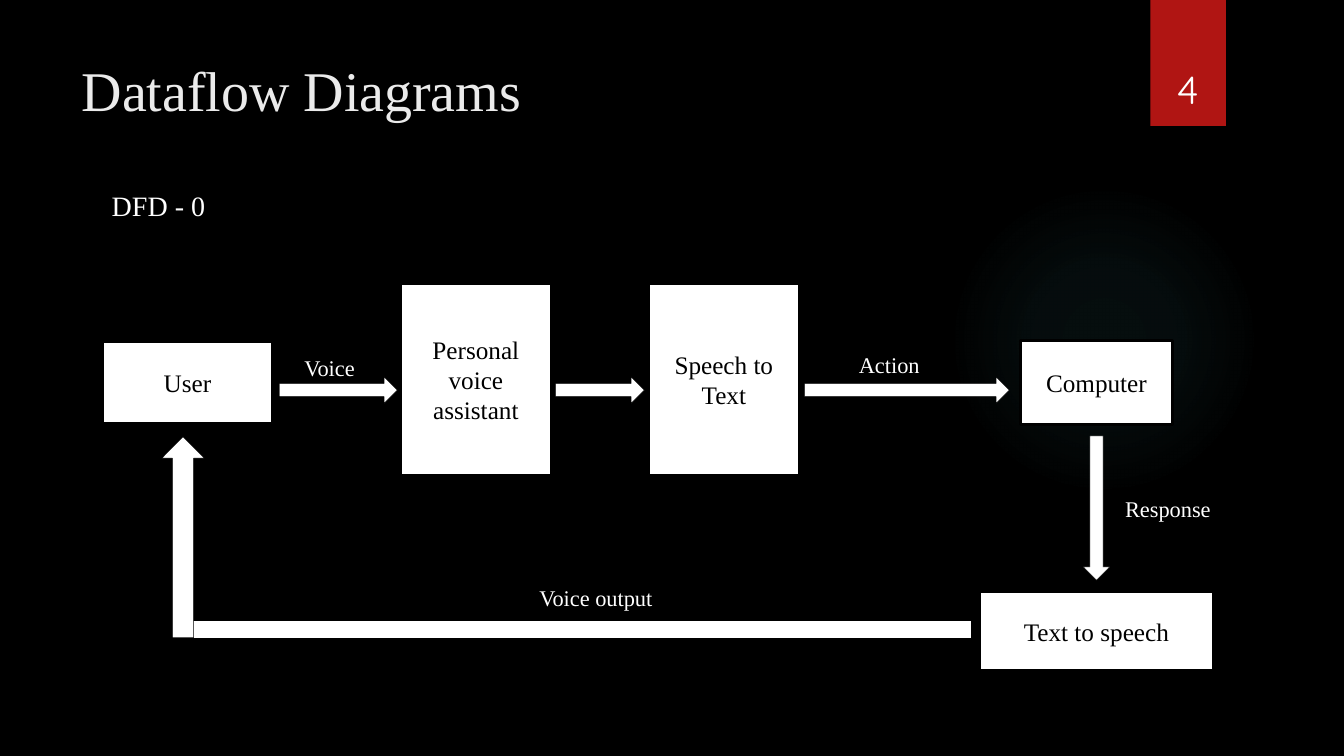
from dataclasses import dataclass

from lxml import etree
from pptx import Presentation
from pptx.dml.color import RGBColor
from pptx.enum.shapes import MSO_SHAPE
from pptx.enum.text import MSO_ANCHOR, MSO_AUTO_SIZE, PP_ALIGN
from pptx.oxml.ns import nsdecls
from pptx.util import Inches, Pt

RECTANGLE, ELLIPSE = MSO_SHAPE.RECTANGLE, MSO_SHAPE.OVAL
ARROW, MINUS = MSO_SHAPE.RIGHT_ARROW, MSO_SHAPE.MATH_MINUS
TOP, MIDDLE, BOTTOM = MSO_ANCHOR.TOP, MSO_ANCHOR.MIDDLE, MSO_ANCHOR.BOTTOM
LEFT, CENTER = PP_ALIGN.LEFT, PP_ALIGN.CENTER
TITLE_ONLY = 5


@dataclass(frozen=True)
class Theme:
    font: str = "Times New Roman"
    number_font: str = "Quicksand"
    black: str = "000000"
    white: str = "FFFFFF"
    title: str = "EBEBEB"
    red: str = "B01513"
    glow: str = "50B9C1"
    title_size: int = 40
    number_size: int = 28
    heading_size: int = 20
    box_size: int = 18
    label_size: int = 16


THEME = Theme()

TITLE = ("Dataflow Diagrams", (0.71, 0.5, 10.18, 1.09))
PAGE_NUMBER = ("4", (11.32, 0.32, 0.92, 0.84))
HEADING = ("DFD - 0", (1.01, 1.82, 2.63, 0.44))
RIBBON = (11.41, 0, 0.75, 1.25)
GLOW = (9.41, 1.83, 3.08, 3.08)
GLOW_STOPS = [(0, 7), (36, 6), (69, 0)]  # position and opacity, percent

# Text, (left, top, width, height), outline width
BOXES = [
    ("User", (1.01, 3.38, 1.7, 0.83), 3),
    ("Personal voice assistant", (3.97, 2.81, 1.5, 1.91), 2.25),
    ("Speech to Text", (6.43, 2.81, 1.5, 1.91), 2.25),
    ("Computer", (10.12, 3.38, 1.51, 0.83), 2.25),
    ("Text to speech", (9.71, 5.87, 2.33, 0.78), 2.25),
]
FLOW_TOP, FLOW_HEIGHT = 3.74, 0.26
FLOW_SPANS = [(2.77, 1.17), (5.51, 0.88), (7.98, 2.03)]  # left, width
RESPONSE_ARROW = (10.16, 4.91, 1.43, FLOW_HEIGHT)
RETURN_BAR = (0.28, 5.85, 10.78, 0.78)
RETURN_ARROW = (0.82, 5.12, 1.99, 0.42)
ARROW_OUTLINE = 0.25

LABELS = [
    ("Voice", (2.92, 3.46, 1.02, 0.37)),
    ("Action", (8.42, 3.43, 1.45, 0.37)),
    ("Response", (11.06, 4.86, 1.55, 0.37)),
    ("Voice output", (5.25, 5.75, 2.58, 0.37)),
]


def inches(area):
    return [Inches(value) for value in area]


def write_text(shape, text, size, color=THEME.white, font=THEME.font,
               align=LEFT, anchor=TOP, auto_size=MSO_AUTO_SIZE.NONE):
    frame = shape.text_frame
    frame.word_wrap = True
    frame.auto_size = auto_size
    frame.vertical_anchor = anchor
    paragraph = frame.paragraphs[0]
    paragraph.alignment = align
    run = paragraph.add_run()
    run.text = text
    run.font.name = font
    run.font.size = Pt(size)
    run.font.color.rgb = RGBColor.from_string(color)


def add_figure(slide, kind, area, fill=THEME.white, outline=None, rotation=0):
    """Add a preset shape; outline is the width in points of a black line."""
    shape = slide.shapes.add_shape(kind, *inches(area))
    shape.shadow.inherit = False
    shape.rotation = rotation
    shape.fill.solid()
    shape.fill.fore_color.rgb = RGBColor.from_string(fill)
    if outline is None:
        shape.line.fill.background()
    else:
        shape.line.color.rgb = RGBColor.from_string(THEME.black)
        shape.line.width = Pt(outline)
    return shape


def add_text_box(slide, text, area, size, **text_format):
    box = slide.shapes.add_textbox(*inches(area))
    write_text(box, text, size, **text_format)


def add_glow(slide):
    """Add a circle whose colour fades out from its centre."""
    shape = add_figure(slide, ELLIPSE, GLOW)
    stops = "".join(
        f'<a:gs pos="{position * 1000}"><a:srgbClr val="{THEME.glow}">'
        f'<a:alpha val="{opacity * 1000}"/></a:srgbClr></a:gs>'
        for position, opacity in GLOW_STOPS)
    gradient = etree.fromstring(
        f'<a:gradFill {nsdecls("a")} rotWithShape="1"><a:gsLst>{stops}</a:gsLst>'
        '<a:path path="circle"><a:fillToRect l="50000" t="50000" r="50000" '
        'b="50000"/></a:path></a:gradFill>')
    properties = shape.element.spPr
    solid = properties.find("a:solidFill", {"a": gradient.nsmap["a"]})
    properties.replace(solid, gradient)


def add_title(slide):
    text, area = TITLE
    title = slide.shapes.title
    title.left, title.top, title.width, title.height = inches(area)
    write_text(title, text, THEME.title_size, color=THEME.title)


def add_arrows(slide):
    for left, width in FLOW_SPANS:
        add_figure(slide, ARROW, (left, FLOW_TOP, width, FLOW_HEIGHT),
                   outline=ARROW_OUTLINE)
    for kind, area, rotation in [(ARROW, RESPONSE_ARROW, 90),
                                 (MINUS, RETURN_BAR, 0),
                                 (ARROW, RETURN_ARROW, 270)]:
        add_figure(slide, kind, area, outline=ARROW_OUTLINE, rotation=rotation)


def main():
    presentation = Presentation()
    presentation.slide_width = Inches(13.33)
    presentation.slide_height = Inches(7.5)
    slide = presentation.slides.add_slide(presentation.slide_layouts[TITLE_ONLY])
    background = slide.background.fill
    background.solid()
    background.fore_color.rgb = RGBColor.from_string(THEME.black)

    add_glow(slide)
    add_figure(slide, RECTANGLE, RIBBON, fill=THEME.red)
    add_title(slide)
    add_text_box(slide, *PAGE_NUMBER, THEME.number_size, font=THEME.number_font,
                 align=CENTER, anchor=BOTTOM)
    for text, area, outline in BOXES:
        box = add_figure(slide, RECTANGLE, area, outline=outline)
        write_text(box, text, THEME.box_size, color=THEME.black,
                   align=CENTER, anchor=MIDDLE)
    add_arrows(slide)
    for text, area in LABELS:
        add_text_box(slide, text, area, THEME.label_size,
                     auto_size=MSO_AUTO_SIZE.SHAPE_TO_FIT_TEXT)
    add_text_box(slide, *HEADING, THEME.heading_size,
                 auto_size=MSO_AUTO_SIZE.SHAPE_TO_FIT_TEXT)
    presentation.save("out.pptx")


if __name__ == "__main__":
    main()
